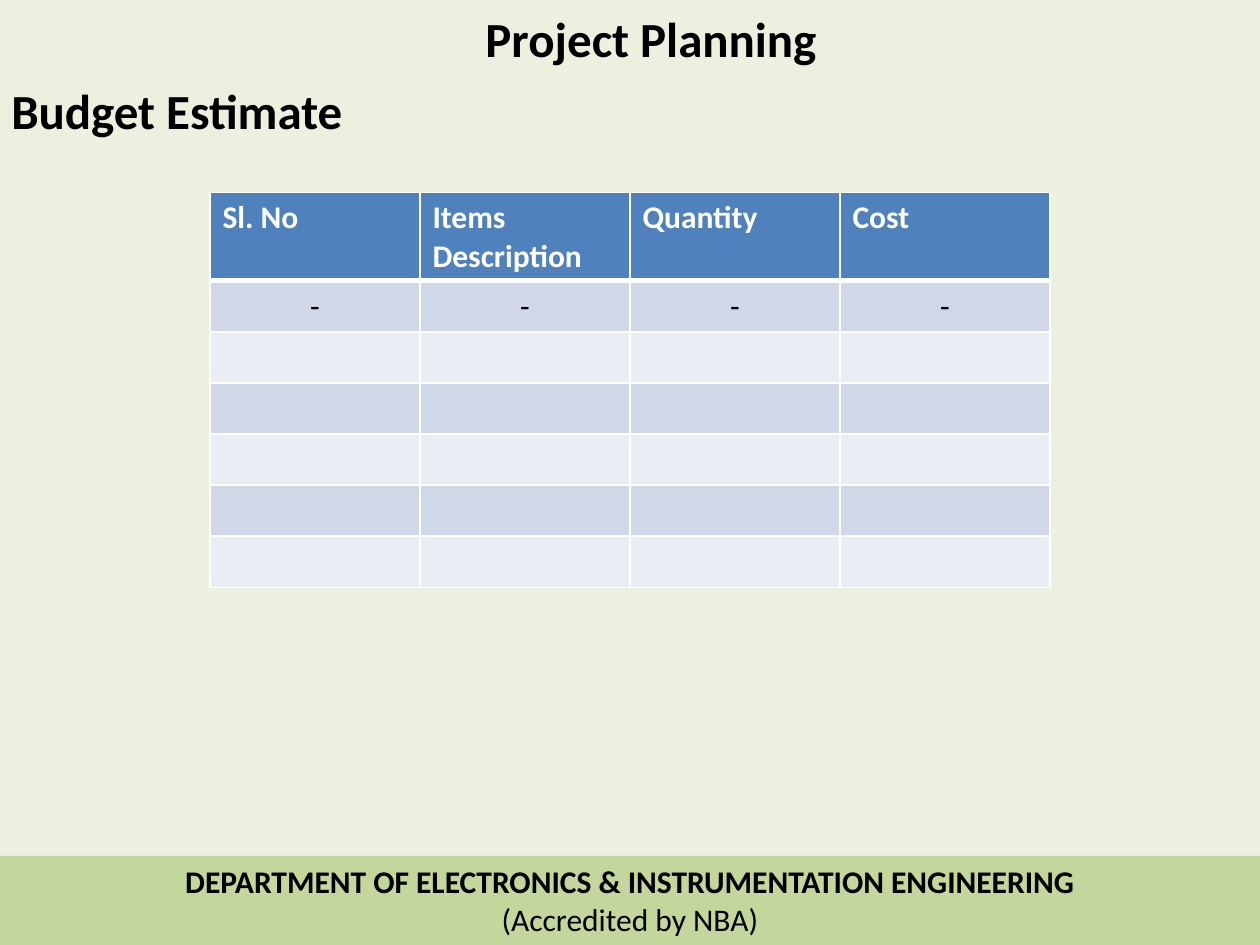
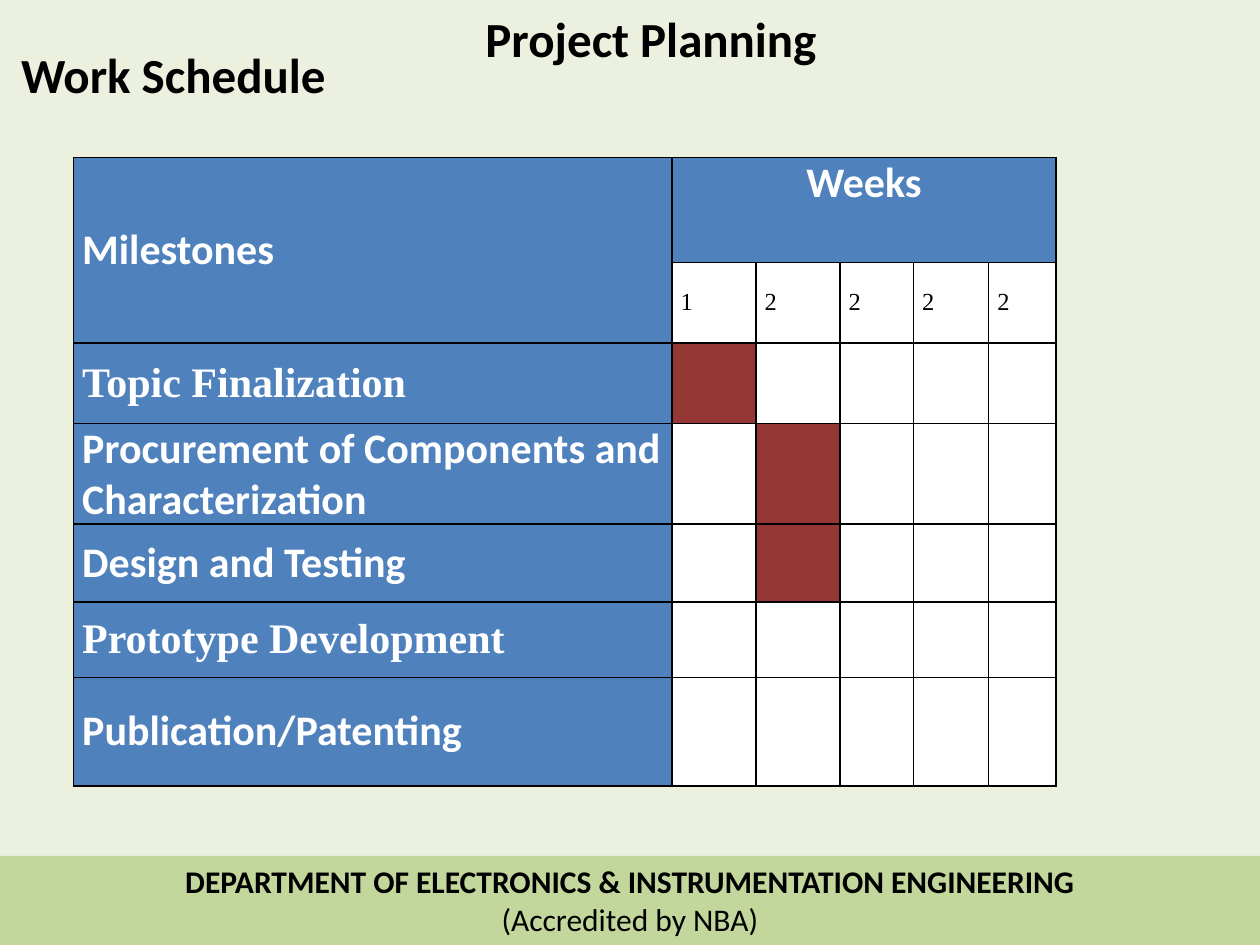
from lxml.etree import SubElement
from pptx import Presentation
from pptx.dml.color import RGBColor
from pptx.enum.shapes import MSO_SHAPE
from pptx.enum.text import MSO_ANCHOR as Anchor, MSO_AUTO_SIZE as AutoSize, PP_ALIGN as Align
from pptx.oxml.ns import qn
from pptx.util import Pt

BLACK = RGBColor(0x00, 0x00, 0x00)
WHITE = RGBColor(0xFF, 0xFF, 0xFF)
PAGE = RGBColor(0xEB, 0xF1, 0xDE)
FOOTER = RGBColor(0xC3, 0xD6, 0x9B)
HEADER = RGBColor(0x4F, 0x81, 0xBD)
BAND_DARK = RGBColor(0xD0, 0xD8, 0xE8)
BAND_LIGHT = RGBColor(0xE9, 0xED, 0xF4)
BUSY = RGBColor(0x95, 0x37, 0x35)
SANS = "Calibri"
SERIF = "Times New Roman"


class Deck:
    def __init__(self):
        self.prs = Presentation()
        self.prs.slide_width, self.prs.slide_height = Pt(720), Pt(540)
        background = self.prs.slide_master.background.fill
        background.solid()
        background.fore_color.rgb = PAGE
        self.slide = None

    def new_slide(self, title):
        self.slide = self.prs.slides.add_slide(self.prs.slide_layouts[5])
        heading = self.slide.shapes.title
        heading.left, heading.top, heading.width, heading.height = Pt(192), Pt(1.5), Pt(360), Pt(41)
        self.heading_text(heading.text_frame, title)
        self.footer()

    def run(self, paragraph, text, size, color=BLACK, bold=True, font=SANS, align=Align.CENTER):
        paragraph.alignment = align
        run = paragraph.add_run()
        run.text = text
        run.font.name, run.font.size, run.font.bold = font, Pt(size), bold
        run.font.color.rgb = color

    def heading_text(self, frame, text, wrap=True):
        frame.word_wrap = wrap
        frame.auto_size = AutoSize.SHAPE_TO_FIT_TEXT
        frame.vertical_anchor = Anchor.TOP
        self.run(frame.paragraphs[0], text, 28)

    def footer(self):
        band = self.slide.shapes.add_shape(MSO_SHAPE.RECTANGLE, 0, Pt(489), Pt(720), Pt(51))
        band.shadow.inherit = False
        band.fill.solid()
        band.fill.fore_color.rgb = FOOTER
        band.line.fill.background()
        frame = band.text_frame
        frame.vertical_anchor = Anchor.TOP
        self.run(frame.paragraphs[0], "DEPARTMENT OF ELECTRONICS & INSTRUMENTATION ENGINEERING", 18)
        self.run(frame.add_paragraph(), "(Accredited by NBA)", 18, bold=False)

    def subtitle(self, text, left, top, width):
        box = self.slide.shapes.add_textbox(Pt(left), Pt(top), Pt(width), Pt(41))
        self.heading_text(box.text_frame, text, wrap=False)

    def table(self, left, top, widths, heights):
        frame = self.slide.shapes.add_table(
            len(heights), len(widths), Pt(left), Pt(top), Pt(sum(widths)), Pt(sum(heights)))
        table = frame.table
        for column, width in zip(table.columns, widths):
            column.width = Pt(width)
        for row, height in zip(table.rows, heights):
            row.height = Pt(height)
        return table

    def cell(self, cell, fill, border, top=1, bottom=1):
        properties = cell._tc.get_or_add_tcPr()
        for side, width in (("L", 1), ("R", 1), ("T", top), ("B", bottom)):
            line = SubElement(properties, qn(f"a:ln{side}"), w=str(Pt(width)))
            SubElement(SubElement(line, qn("a:solidFill")), qn("a:srgbClr"), val=str(border))
        cell.fill.solid()
        cell.fill.fore_color.rgb = fill

    def cell_text(self, cell, text, size, **style):
        self.run(cell.text_frame.paragraphs[0], text, size, **style)

    def tight_cell(self, cell, anchor=Anchor.MIDDLE):
        cell.margin_left = cell.margin_right = Pt(5)
        cell.margin_top = cell.margin_bottom = 0
        cell.vertical_anchor = anchor


def budget_slide(deck):
    deck.new_slide("Project Planning")
    deck.subtitle("Budget Estimate", -2, 42.5, 206)
    headings = ["Sl. No", "Items Description", "Quantity", "Cost"]
    row_count = 7
    budget = deck.table(120, 110, [120] * len(headings), [29.2] * row_count)
    for row in range(row_count):
        fill = HEADER if row == 0 else BAND_DARK if row % 2 else BAND_LIGHT
        for column, heading in enumerate(headings):
            cell = budget.cell(row, column)
            deck.cell(cell, fill, WHITE, top=3 if row == 1 else 1, bottom=3 if row == 0 else 1)
            if row == 0:
                deck.cell_text(cell, heading, 18, color=WHITE, align=Align.LEFT)
            elif row == 1:
                deck.cell_text(cell, "-", 18, bold=False)


def schedule_slide(deck):
    deck.new_slide("Project Planning")
    deck.subtitle("Work Schedule", 3.5, 22, 191)
    widths = [342, 48, 48, 42, 43, 38.5]
    heights = [60, 46, 46, 47, 44.5, 43, 62]
    weeks = ["1", "2", "2", "2", "2"]
    milestones = [
        ("Topic Finalization", SERIF, 1),
        ("Procurement of Components and Characterization", SANS, 2),
        ("Design and Testing", SANS, 2),
        ("Prototype Development", SERIF, None),
        ("Publication/Patenting", SANS, None),
    ]
    schedule = deck.table(42, 90, widths, heights)
    busy = {(row, column) for row, (_, _, column) in enumerate(milestones, 2)}
    for row in range(len(heights)):
        for column in range(len(widths)):
            fill = HEADER if row == 0 or column == 0 else BUSY if (row, column) in busy else WHITE
            deck.cell(schedule.cell(row, column), fill, BLACK)

    schedule.cell(0, 0).merge(schedule.cell(1, 0))
    schedule.cell(0, 1).merge(schedule.cell(0, len(weeks)))
    weeks_heading = schedule.cell(0, 1)
    deck.tight_cell(weeks_heading, Anchor.TOP)
    deck.cell_text(weeks_heading, "Weeks", 24, color=WHITE)
    for column, week in enumerate(weeks, 1):
        cell = schedule.cell(1, column)
        deck.tight_cell(cell)
        deck.cell_text(cell, week, 14, bold=False, font=SERIF, align=Align.LEFT)
    labels = [(0, "Milestones", SANS)]
    labels += [(row, name, font) for row, (name, font, _) in enumerate(milestones, 2)]
    for row, name, font in labels:
        cell = schedule.cell(row, 0)
        deck.tight_cell(cell)
        deck.cell_text(cell, name, 24, color=WHITE, font=font, align=Align.LEFT)


def main():
    deck = Deck()
    budget_slide(deck)
    schedule_slide(deck)
    deck.prs.save("out.pptx")


if __name__ == "__main__":
    main()
